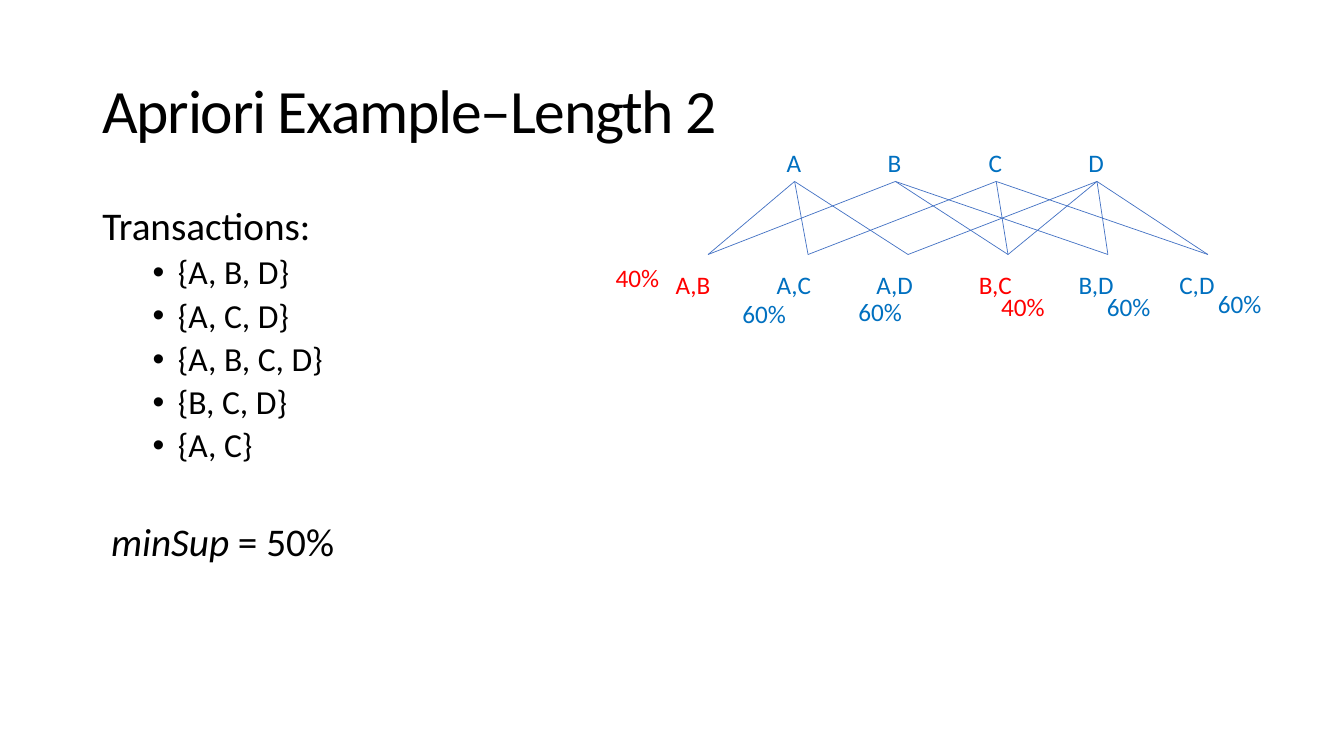
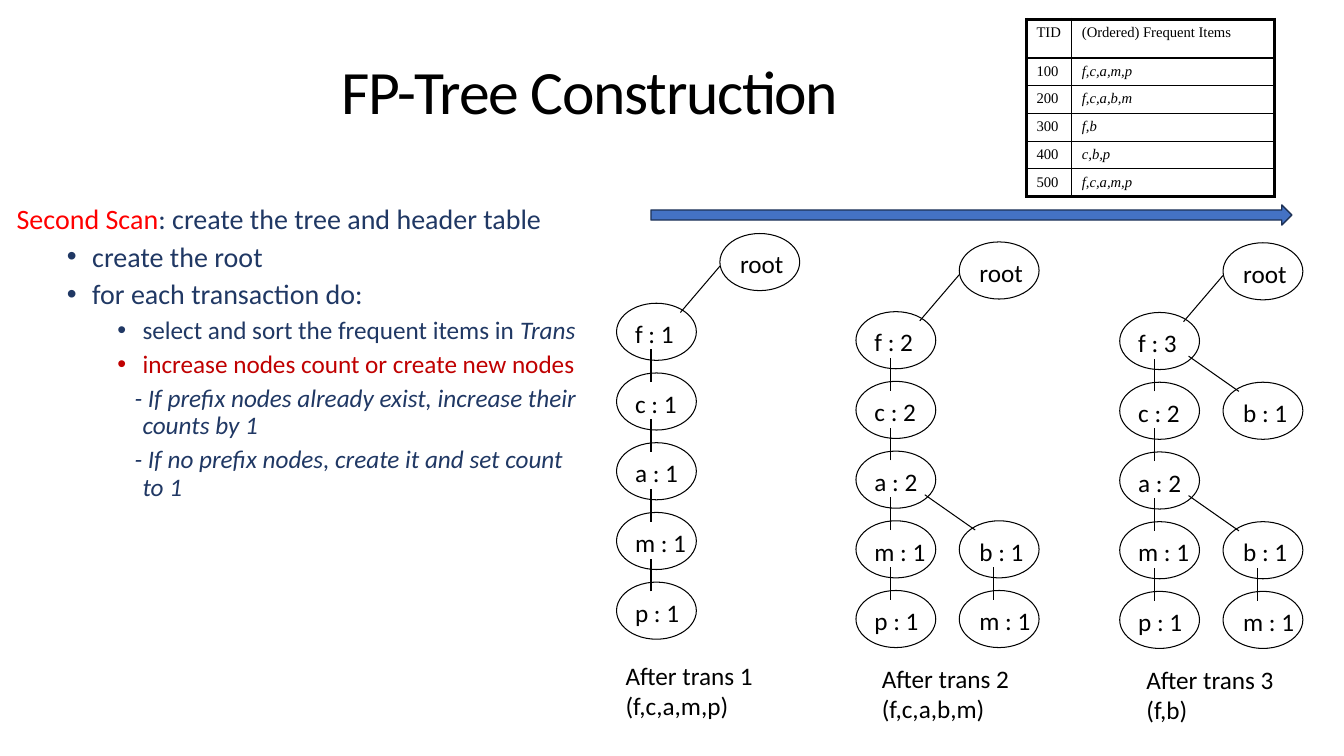
"""Build two slides on frequent itemsets: an Apriori lattice and FP-tree growth."""
from functools import partial
from itertools import combinations

from lxml.etree import SubElement
from pptx import Presentation
from pptx.dml.color import RGBColor
from pptx.enum.shapes import MSO_CONNECTOR, MSO_SHAPE
from pptx.enum.text import MSO_ANCHOR, PP_ALIGN
from pptx.oxml.ns import qn
from pptx.util import Inches, Pt

CELL = Inches(1 / 12)
COLUMNS, ROWS = 160, 90
BLACK, RED, BLUE, NAVY, CRIMSON = "000000", "FF0000", "0070C0", "203864", "C00000"
ACCENT, ARROW_EDGE = "4472C4", "1E3256"
BASE_FONT = {"name": "Calibri", "size": Pt(18), "color": BLACK}
TITLE_FONT = {"size": Pt(44)}
ITALIC = {"italic": True}
HEAD = {"line_spacing": 0.9, "space_before": Pt(10)}
ITEM = {"line_spacing": 0.9, "space_before": Pt(5)}
CENTER = {"alignment": PP_ALIGN.CENTER}
LEVEL_ONE, LEVEL_TWO, DASHED = (0.75, -0.25, "•"), (1.25, -0.25, "•"), (1.25, -0.08, "")
NO_INSET = dict.fromkeys(("margin_left", "margin_top", "margin_right", "margin_bottom"), 0)

colour = RGBColor.from_string


def place(add, *lengths, stroke=None):
    """Add an object at lengths given in grid cells, with an optional (colour, points) line."""
    item = add(*(round(length * CELL) for length in lengths))
    if stroke:
        item.line.color.rgb = colour(stroke[0])
        item.line.width = Pt(stroke[1])
        SubElement(item._element.spPr, qn("a:effectLst"))
    return item


def write(frame, paragraphs, font=None, **frame_format):
    """Fill a text frame with (spans, format, optional bullet level) paragraphs."""
    for name, value in {"word_wrap": True, **frame_format}.items():
        setattr(frame, name, value)
    for number, (spans, settings, *levels) in enumerate(paragraphs):
        para = frame.add_paragraph() if number else frame.paragraphs[0]
        for name, value in settings.items():
            setattr(para, name, value)
        for left, hang, mark in levels:
            properties = para._p.get_or_add_pPr()
            properties.set("marL", str(Inches(left)))
            properties.set("indent", str(Inches(hang)))
            if mark:
                SubElement(properties, qn("a:buFont"), typeface="Arial")
                SubElement(properties, qn("a:buChar"), char=mark)
        for text, changes in spans:
            span = para.add_run()
            span.text = text
            look = {**BASE_FONT, **(font or {}), **changes}
            span.font.color.rgb = colour(look.pop("color"))
            for name, value in look.items():
                setattr(span.font, name, value)


deck = Presentation()
deck.slide_width, deck.slide_height = COLUMNS * CELL, ROWS * CELL
titles = [
    ("Apriori Example–Length 2", (11, 4.8, 138, 17.4), {}),
    ("FP-Tree Construction ", (20, 3.7, 102, 15), CENTER),
]
pages = []
for text, area, alignment in titles:
    page = deck.slides.add_slide(deck.slide_layouts[6])
    box = place(page.shapes.add_textbox, *area)
    write(box.text_frame, [([(text, {})], {"line_spacing": 0.9, **alignment})],
          TITLE_FONT, vertical_anchor=MSO_ANCHOR.MIDDLE)
    box.text_frame.paragraphs[0].runs[0]._r.get_or_add_rPr().set("spc", "-90")
    pages.append(page)
apriori, fp_tree = pages

transactions = ["{A, B, D}", "{A, C, D}", "{A, B, C, D}", "{B, C, D}", "{A, C}"]
box = place(apriori.shapes.add_textbox, 11, 24, 138, 57.1)
write(box.text_frame, [
    ([("Transactions:", {"size": Pt(28)})], HEAD),
    *(([(items, {})], ITEM, LEVEL_ONE) for items in transactions),
    ([(" minSup ", {"size": Pt(28), **ITALIC}), ("= 50%", {"size": Pt(28)})],
     {**HEAD, "space_before": Pt(41)}),
], {"size": Pt(24)})

letters = "ABCD"
pairs = list(combinations(letters, 2))
rare = [("A", "B"), ("B", "C")]
ITEM_GAP, LABEL_WIDTH, LABEL_HEIGHT = 12, 7.7, 4.8
for itemsets, first_center, label_top in [(letters, 94.5, 17), (pairs, 82.5, 31.5)]:
    for number, itemset in enumerate(itemsets):
        box = place(apriori.shapes.add_textbox,
                    first_center + number * ITEM_GAP - LABEL_WIDTH / 2, label_top,
                    LABEL_WIDTH, LABEL_HEIGHT)
        shade = RED if itemset in rare else BLUE
        write(box.text_frame, [([(",".join(itemset), {"color": shade})], CENTER)])

edges = [(letter, pair) for pair in pairs for letter in pair] + [("D", ("B", "C"))]
for letter, pair in edges:
    place(partial(apriori.shapes.add_connector, MSO_CONNECTOR.STRAIGHT),
          94.6 + ITEM_GAP * letters.index(letter), 21.6,
          84.3 + 11.9 * pairs.index(pair), 30.3, stroke=(ACCENT, 0.5))

support_spots = [(72.1, 30.7), (87.2, 34.9), (101, 34.7),
                 (118, 34.1), (130.6, 34.1), (143.8, 33.7)]
for pair, spot in zip(pairs, support_spots):
    support, shade = ("40%", RED) if pair in rare else ("60%", BLUE)
    box = place(apriori.shapes.add_textbox, *spot, LABEL_WIDTH, LABEL_HEIGHT)
    write(box.text_frame, [([(support, {"color": shade})], {})], word_wrap=False)

COLUMN_GAP, ROW_GAP = 12.3, 8.3
LINKS = {
    "none": None,
    "root": (COLUMN_GAP, -4.4, 7.6, 1.1),
    "down": (4.1, 1.1, 4.1, -2.8),
    "fork": (1.9, 1.1, -4.1, -3.1),
}
side_branch = [(1, 4, "b : 1", "fork"), (1, 5, "m : 1", "down")]
trees = [
    (73.4, 27.8, (-0.1, 50.2), (1, 1, 1), [], "After trans 1 (f,c,a,m,p)"),
    (101.9, 28.8, (1.9, 49.6), (2, 2, 2), side_branch, "After trans 2 (f,c,a,b,m)"),
    (133.3, 28.9, (2, 49.6), (3, 2, 2), [(1, 2, "b : 1", "fork"), *side_branch],
     "After trans 3 (f,b)"),
]
for left, top, (caption_x, caption_y), counts, branches, caption in trees:
    shapes = fp_tree.shapes.add_group_shape().shapes
    nodes = [(1, 0, "root", "none")]
    for row, (item, count) in enumerate(zip("fcamp", (*counts, 1, 1)), 1):
        nodes.append((0, row, f"{item} : {count}", "root" if row == 1 else "down"))
    for column, row, text, link in nodes + branches:
        x, y = left + column * COLUMN_GAP, top + row * ROW_GAP
        if LINKS[link]:
            x1, y1, x2, y2 = LINKS[link]
            place(partial(shapes.add_connector, MSO_CONNECTOR.STRAIGHT),
                  x + x1, y + y1, x + x2, y + y2, stroke=(BLACK, 0.75))
        node = place(partial(shapes.add_shape, MSO_SHAPE.OVAL), x, y, 9.5, 6.8,
                     stroke=(BLACK, 0.75))
        node.fill.background()
        box = place(shapes.add_textbox, x + 2.2 + 0.2 * column, y + 1.8, 7.3, 3.6)
        write(box.text_frame, [([(text, {})], {})], **NO_INSET)
    box = place(shapes.add_textbox, left + caption_x, top + caption_y, 17.8, 8.4)
    write(box.text_frame, [([(caption, {})], {})])

records = [("TID", "(Ordered) Frequent Items"), ("100", "f,c,a,m,p"), ("200", "f,c,a,b,m"),
           ("300", "f,b"), ("400", "c,b,p"), ("500", "f,c,a,m,p")]
table = place(partial(fp_tree.shapes.add_table, len(records), 2), 122.2, 2.3, 29.5, 21.1).table
table.first_row = table.horz_banding = False
for column, width in zip(table.columns, (5.4, 24.1)):
    column.width = round(width * CELL)
for row, record in enumerate(records):
    table.rows[row].height = round((3.3 if row else 4.6) * CELL)
    for column, text in enumerate(record):
        cell = table.cell(row, column)
        look = {"name": "Times New Roman", "size": Pt(10.5), "italic": bool(row and column)}
        write(cell.text_frame, [([(text, look)], {"space_before": Pt(2.5)})])
        outer = {"lnL": column == 0, "lnR": column == 1,
                 "lnT": row == 0, "lnB": row == len(records) - 1}
        properties = cell._tc.get_or_add_tcPr()
        for side, thick in outer.items():
            border = SubElement(properties, qn(f"a:{side}"), w=str(Pt(2.25 if thick else 1)))
            SubElement(SubElement(border, qn("a:solidFill")), qn("a:srgbClr"), val=BLACK)
        cell.fill.background()

arrow = place(partial(fp_tree.shapes.add_shape, MSO_SHAPE.RIGHT_ARROW), 77.5, 24.4, 76.3, 2.4,
              stroke=(ARROW_EDGE, 1))
arrow.fill.solid()
arrow.fill.fore_color.rgb = colour(ACCENT)

large = {"size": Pt(20)}
box = place(fp_tree.shapes.add_textbox, 0.8, 23.9, 69.1, 57.1)
write(box.text_frame, [
    ([("Second Scan", {**large, "color": RED}),
      (": create the tree and header table", large)], HEAD),
    ([("create the root", large)], ITEM, LEVEL_ONE),
    ([("for each transaction do:", large)], ITEM, LEVEL_ONE),
    ([("select and sort the frequent items in ", {}), ("Trans", ITALIC)], ITEM, LEVEL_TWO),
    ([("increase nodes count or create new nodes", {"color": CRIMSON})], ITEM, LEVEL_TWO),
    ([("- If prefix nodes already exist, increase their counts by 1", ITALIC)], ITEM, DASHED),
    ([("- If no prefix nodes, create it and set count to 1", ITALIC)], ITEM, DASHED),
], {"color": NAVY})

deck.save("out.pptx")
